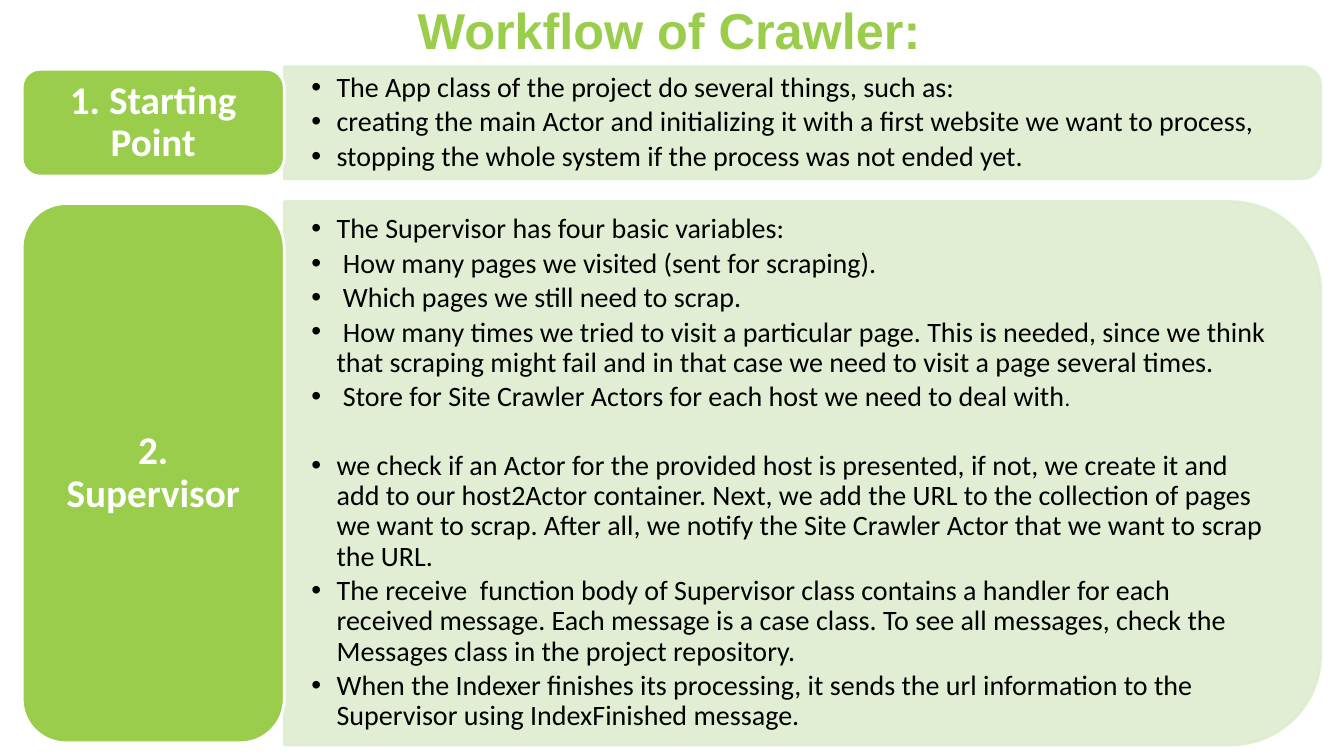
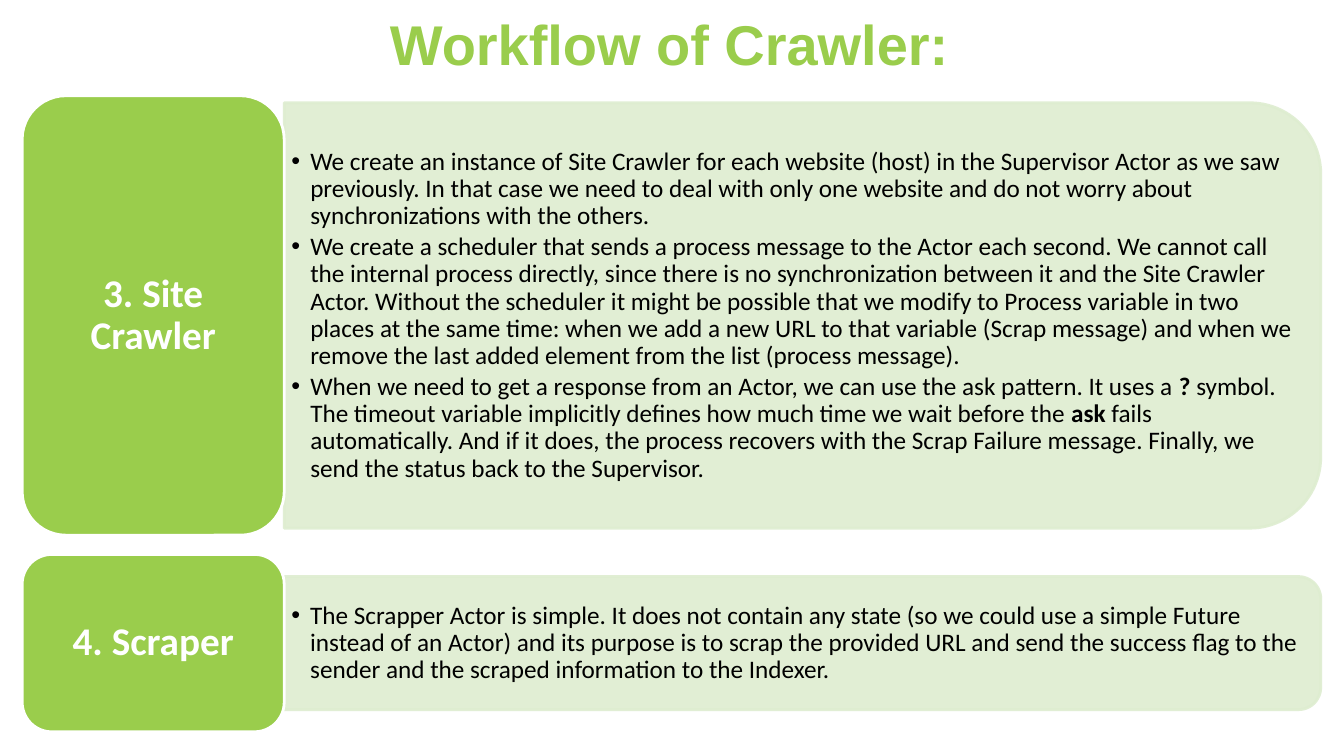
import dataclasses

import lxml.etree
import pptx
import pptx.dml.color
import pptx.enum.shapes
import pptx.enum.text
import pptx.oxml.ns
import pptx.util

GREEN = pptx.dml.color.RGBColor(0x9A, 0xCD, 0x4C)
PALE_GREEN = pptx.dml.color.RGBColor(0xDE, 0xED, 0xD0)
WHITE = pptx.dml.color.RGBColor(0xFF, 0xFF, 0xFF)
BLACK = pptx.dml.color.RGBColor(0x00, 0x00, 0x00)

SHAPES = pptx.enum.shapes.MSO_SHAPE
ALIGN = pptx.enum.text.PP_ALIGN
MIDDLE = pptx.enum.text.MSO_ANCHOR.MIDDLE
PANEL_ALPHA = "90000"
CORNER_INSET = 0.05


@dataclasses.dataclass
class Span:
    text: str
    bold: bool = False
    size: float = None


@dataclasses.dataclass
class Bullet:
    spans: list
    gap_before: float = 0


@dataclasses.dataclass
class BodyStyle:
    size: float
    indent: float
    inset: float


@dataclasses.dataclass
class Row:
    label: str
    middle: float
    label_height: float
    panel_height: float
    bullets: list


LARGE_BODY = BodyStyle(size=20, indent=18, inset=2.02)
SMALL_BODY = BodyStyle(size=18, indent=13.5, inset=0.53)


class WorkflowDeck:
    title_left, title_width = 0.6, 98.4
    label_left, label_width = 1.65, 19.5
    panel_left, panel_width = 21.15, 77.12

    def __init__(self):
        self.deck = pptx.Presentation()
        self.deck.slide_width = pptx.util.Inches(13.33)
        self.deck.slide_height = pptx.util.Inches(7.5)
        self.page = None

    def x(self, percent):
        return round(self.deck.slide_width * percent / 100)

    def y(self, percent):
        return round(self.deck.slide_height * percent / 100)

    def add_page(self):
        self.page = self.deck.slides.add_slide(self.deck.slide_layouts[6])

    def prepare_frame(self, box, inset_x, inset_y):
        frame = box.text_frame
        frame.word_wrap = True
        frame.vertical_anchor = MIDDLE
        frame.margin_left = frame.margin_right = inset_x
        frame.margin_top = frame.margin_bottom = inset_y
        return frame

    def add_span(self, para, text, font, size, color, bold):
        span = para.add_run()
        span.text = text
        span.font.name = font
        span.font.size = pptx.util.Pt(size)
        span.font.color.rgb = color
        span.font.bold = bold

    def add_heading(self, frame, text, font, size, color):
        para = frame.paragraphs[0]
        para.alignment = ALIGN.CENTER
        para.line_spacing = 0.9
        self.add_span(para, text, font, size, color, True)

    def add_block(self, kind, bounds, fill, line):
        box = self.page.shapes.add_shape(kind, *bounds)
        box.shadow.inherit = False
        box.fill.solid()
        box.fill.fore_color.rgb = fill
        box.line.color.rgb = line
        box.line.width = pptx.util.Pt(2)
        return box

    def add_title(self, text, size, height):
        box = self.page.shapes.add_textbox(
            self.x(self.title_left), 0, self.x(self.title_width), self.y(height))
        frame = self.prepare_frame(box, self.x(0.75), self.y(0.67))
        self.add_heading(frame, text, "Arial", size, GREEN)

    def add_panel(self, row):
        width, height = self.x(self.panel_width), self.y(row.panel_height)
        center_x = self.x(self.panel_left) + width // 2
        bounds = (center_x - height // 2, self.y(row.middle) - width // 2, height, width)
        box = self.add_block(SHAPES.ROUND_2_SAME_RECTANGLE, bounds, PALE_GREEN, PALE_GREEN)
        box.rotation = 90
        for color in box.element.spPr.iter(pptx.oxml.ns.qn("a:srgbClr")):
            lxml.etree.SubElement(color, pptx.oxml.ns.qn("a:alpha"), val=PANEL_ALPHA)

    def add_label(self, row):
        bounds = (self.x(self.label_left), self.y(row.middle - row.label_height / 2),
                  self.x(self.label_width), self.y(row.label_height))
        box = self.add_block(SHAPES.ROUNDED_RECTANGLE, bounds, GREEN, WHITE)
        frame = self.prepare_frame(box, self.x(0.9), self.y(0.8))
        self.add_heading(frame, row.label, "Calibri", 28, WHITE)

    def add_bullets(self, row, style):
        height = self.y(row.panel_height)
        corner = round(height * CORNER_INSET)
        box = self.page.shapes.add_textbox(
            self.x(self.panel_left), self.y(row.middle) - height // 2 + corner,
            self.x(self.panel_width) - corner, height - 2 * corner)
        inset = self.x(style.inset)
        frame = self.prepare_frame(box, inset, inset // 2)
        for index, bullet in enumerate(row.bullets):
            para = frame.add_paragraph() if index else frame.paragraphs[0]
            para.alignment = ALIGN.LEFT
            para.line_spacing = 0.9
            para.space_before = pptx.util.Pt(bullet.gap_before)
            para.space_after = pptx.util.Pt(style.size * 0.15)
            self.add_bullet_mark(para, style.indent)
            for span in bullet.spans:
                self.add_span(para, span.text, "Calibri", span.size or style.size,
                              BLACK, span.bold)

    def add_bullet_mark(self, para, indent):
        properties = para._p.get_or_add_pPr()
        distance = pptx.util.Pt(indent)
        properties.set("marL", str(distance))
        properties.set("indent", str(-distance))
        lxml.etree.SubElement(properties, pptx.oxml.ns.qn("a:buFont"), typeface="Arial")
        lxml.etree.SubElement(properties, pptx.oxml.ns.qn("a:buChar"), char="•")

    def add_workflow(self, title_size, title_height, style, rows):
        self.add_page()
        self.add_title("Workflow of Crawler:", title_size, title_height)
        for row in rows:
            self.add_panel(row)
            self.add_bullets(row, style)
            self.add_label(row)


def plain(text, gap_before=0):
    return Bullet([Span(text)], gap_before)


STARTING_POINT = Row("1. Starting Point", 16.23, 14.13, 14.8, [
    plain("The App class of the project do several things, such as:"),
    plain("creating the main Actor and initializing it with a first website "
          "we want to process,"),
    plain("stopping the whole system if the process was not ended yet."),
])

SUPERVISOR = Row("2. Supervisor", 62.6, 71.33, 71.87, [
    plain("The Supervisor has four basic variables:"),
    plain(" How many pages we visited (sent for scraping)."),
    plain(" Which pages we still need to scrap."),
    plain(" How many times we tried to visit a particular page. This is needed, "
          "since we think that scraping might fail and in that case we need to "
          "visit a page several times."),
    Bullet([Span(" Store for Site Crawler Actors for each host we need to deal with"),
            Span(".", size=16)]),
    plain("we check if an Actor for the provided host is presented, if not, we "
          "create it and add to our host2Actor container. Next, we add the URL to "
          "the collection of pages we want to scrap. After all, we notify "
          "the Site Crawler Actor that we want to scrap the URL.", gap_before=24.5),
    plain("The receive  function body of Supervisor class contains a handler for "
          "each received message. Each message is a case class. To see all "
          "messages, check the Messages class in the project repository."),
    plain("When the Indexer finishes its processing, it sends the url information "
          "to the Supervisor using IndexFinished message."),
])

SITE_CRAWLER = Row("3. Site Crawler", 41.73, 58.13, 56.27, [
    plain("We create an instance of Site Crawler for each website (host) in "
          "the Supervisor Actor as we saw previously. In that case we need to "
          "deal with only one website and do not worry about synchronizations "
          "with the others."),
    plain("We create a scheduler that sends a process message to the Actor each "
          "second. We cannot call the internal process directly, since there is "
          "no synchronization between it and the Site Crawler Actor. Without the "
          "scheduler it might be possible that we modify to Process variable in "
          "two places at the same time: when we add a new URL to that variable "
          "(Scrap message) and when we remove the last added element from the "
          "list (process message)."),
    Bullet([
        Span("When we need to get a response from an Actor, we can use the ask "
             "pattern. It uses a "),
        Span("?", bold=True),
        Span(" symbol. The timeout variable implicitly defines how much time we "
             "wait before the "),
        Span("ask", bold=True),
        Span(" fails automatically. And if it does, the process recovers with "
             "the Scrap Failure message. Finally, we send the status back to "
             "the Supervisor."),
    ]),
])

SCRAPER = Row("4. Scraper", 85.07, 23.47, 17.6, [
    plain("The Scrapper Actor is simple. It does not contain any state (so we "
          "could use a simple Future instead of an Actor) and its purpose is to "
          "scrap the provided URL and send the success flag to the sender and the "
          "scraped information to the Indexer."),
])


def main():
    workflow = WorkflowDeck()
    workflow.add_workflow(36, 8.8, LARGE_BODY, [STARTING_POINT, SUPERVISOR])
    workflow.add_workflow(40, 12.67, SMALL_BODY, [SITE_CRAWLER, SCRAPER])
    workflow.deck.save("out.pptx")


if __name__ == "__main__":
    main()
